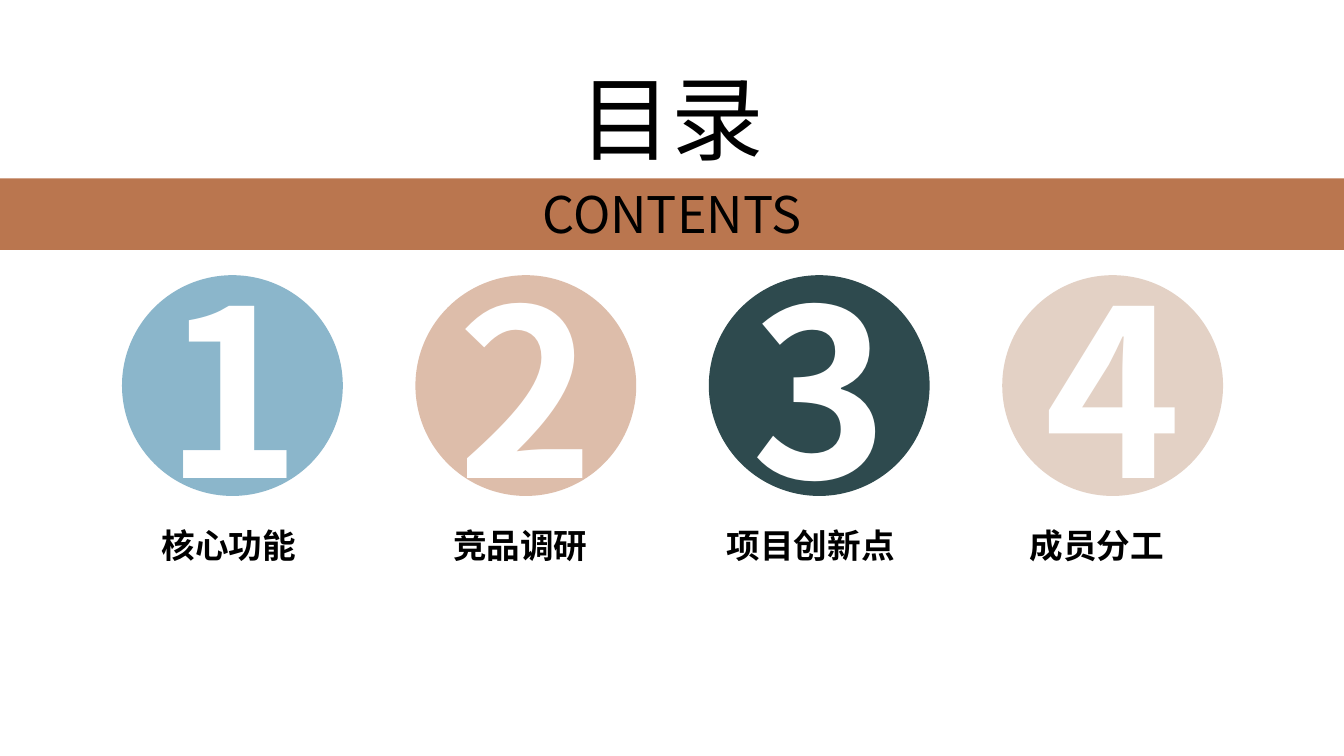
from pptx import Presentation
from pptx import util as u
from pptx.dml.color import RGBColor
from pptx.enum import shapes, text
from pptx.oxml.ns import qn
from lxml import etree

FONT = "Noto Sans CJK SC"
COLORS = {
    "black": "000000", "white": "FFFFFF", "band": "BA764F",
    "blue": "8BB6CB", "dark": "2E4A4E", "sand": "C5A086",
}
# number, topic, fill colour, opacity in percent, horizontal centre of the topic
SECTIONS = [
    ("1", "核心功能", "blue", 100, 2.27),
    ("2", "竞品调研", "band", 48, 5.16),
    ("3", "项目创新点", "dark", 100, 8.04),
    ("4", "成员分工", "sand", 48, 10.88),
]


def place(shape, left, top, width, height):
    shape.left, shape.top = u.Inches(left), u.Inches(top)
    shape.width, shape.height = u.Inches(width), u.Inches(height)


def write(shape, words, size, color, anchor, bold=False):
    frame = shape.text_frame
    frame.word_wrap = True
    frame.vertical_anchor = anchor
    para = frame.paragraphs[0]
    para.alignment = text.PP_ALIGN.CENTER
    span = para.add_run()
    span.text = words
    span.font.name = FONT
    span.font.size = u.Pt(size)
    span.font.bold = bold
    span.font.color.rgb = RGBColor.from_string(COLORS[color])
    east_asian = etree.SubElement(span.font._element, qn("a:ea"))
    east_asian.set("typeface", FONT)


def add_filled(page, kind, box, color, opacity=100):
    shape = page.shapes.add_shape(kind, *(u.Inches(side) for side in box))
    shape.shadow.inherit = False
    shape.line.fill.background()
    shape.fill.solid()
    shape.fill.fore_color.rgb = RGBColor.from_string(COLORS[color])
    if opacity < 100:
        tint = shape.fill._xPr.find(".//" + qn("a:srgbClr"))
        etree.SubElement(tint, qn("a:alpha")).set("val", str(opacity * 1000))
    return shape


def add_heading(page, left, top, width):
    """Title centred over a full-width band with the subtitle."""
    title = page.shapes.title
    place(title, left + 5.21, top, 2.91, 1.21)
    write(title, "目录", 66, "black", text.MSO_ANCHOR.TOP)
    band = add_filled(page, shapes.MSO_SHAPE.RECTANGLE,
                      (left, top + 1.21, width, 0.71), "band")
    write(band, "CONTENTS", 36, "black", text.MSO_ANCHOR.TOP)


def add_sections(page, left, top, diameter, pitch):
    """Row of numbered circles, each with its topic below."""
    for index, (number, topic, color, opacity, centre) in enumerate(SECTIONS):
        circle = add_filled(page, shapes.MSO_SHAPE.OVAL,
                            (left + index * pitch, top, diameter, diameter),
                            color, opacity)
        write(circle, number, 166, "white", text.MSO_ANCHOR.MIDDLE, bold=True)
        label = page.shapes.add_textbox(0, 0, 0, 0)
        place(label, centre - diameter / 2, top + 2.43, diameter, 0.5)
        write(label, topic, 24, "black", text.MSO_ANCHOR.TOP, bold=True)


def main():
    deck = Presentation()
    deck.slide_width, deck.slide_height = u.Inches(13.33), u.Inches(7.5)
    page = deck.slides.add_slide(deck.slide_layouts[5])
    add_heading(page, 0, 0.56, 13.33)
    add_sections(page, 1.21, 2.73, 2.19, 2.91)
    deck.save("out.pptx")


if __name__ == "__main__":
    main()
